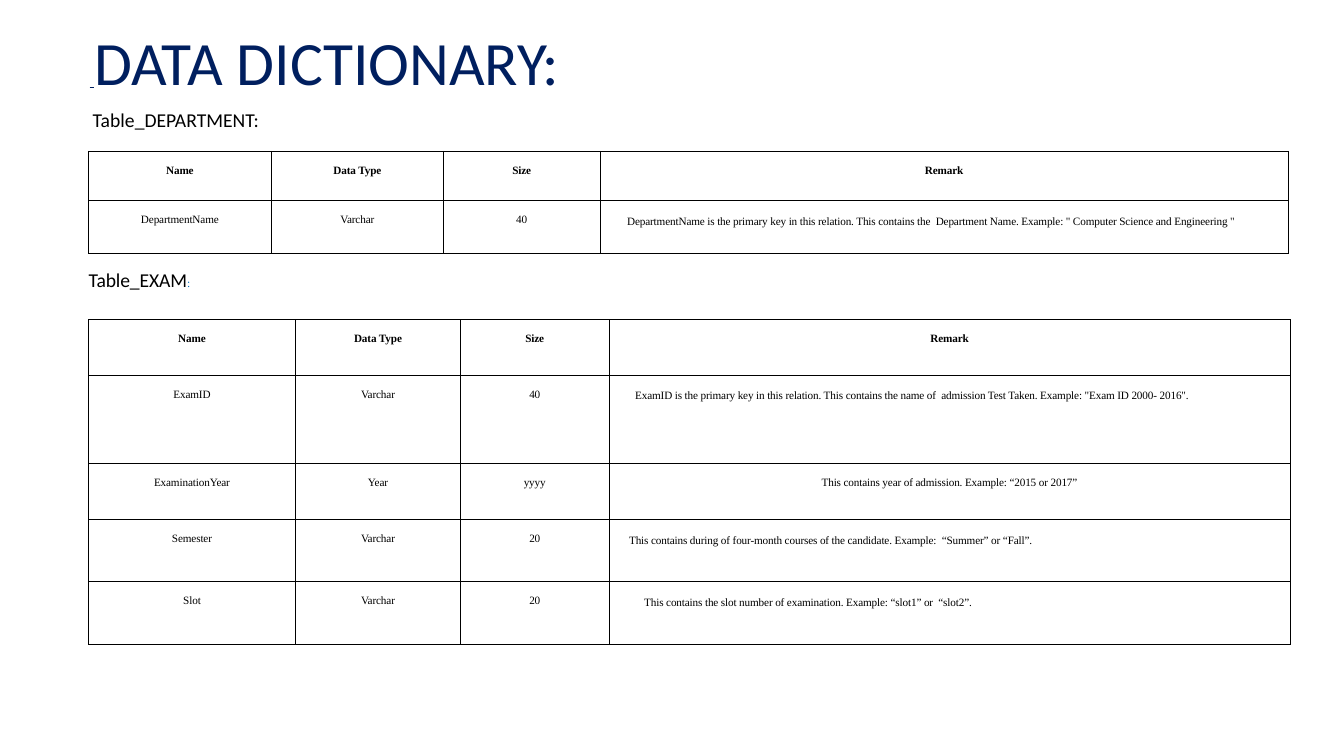
import pptx
import pptx.dml.color
import pptx.enum.text
import pptx.util
from lxml import etree
from pptx.oxml.ns import qn

Inches = pptx.util.Inches
Pt = pptx.util.Pt
BLACK = pptx.dml.color.RGBColor(0x00, 0x00, 0x00)
NAVY = pptx.dml.color.RGBColor(0x00, 0x1F, 0x5F)
BLUE = pptx.dml.color.RGBColor(0x00, 0x6F, 0xC0)
SANS = "Calibri"
SERIF = "Times New Roman"
HEADER = ["Name", "Data Type", "Size", "Remark"]

# A remark with an indent is left-aligned; with None it is centred
DEPARTMENT_ROWS = [
    (["DepartmentName", "Varchar", "40",
      "DepartmentName is the primary key in this relation. This contains the  Department Name. "
      "Example: \" Computer Science and Engineering \""], 0.27),
]
EXAM_ROWS = [
    (["ExamID", "Varchar", "40",
      "ExamID is the primary key in this relation. This contains the name of  admission Test Taken. "
      "Example: \"Exam ID 2000- 2016\"."], 0.26),
    (["ExaminationYear", "Year", "yyyy",
      "This contains year of admission. Example: “2015 or 2017”"], None),
    (["Semester", "Varchar", "20",
      "This contains during of four-month courses of the candidate. "
      "Example:  “Summer” or “Fall”."], 0.2),
    (["Slot", "Varchar", "20",
      "This contains the slot number of examination. Example: “slot1” or  “slot2”."], 0.35),
]


def add_span(para, text, size=8, font=SERIF, color=BLACK, bold=False, underline=False, spacing=0):
    """Add formatted text; spacing is in points between letters."""
    span = para.add_run()
    span.text = text
    span.font.size = Pt(size)
    span.font.name = font
    span.font.color.rgb = color
    span.font.bold = bold
    span.font.underline = underline
    if spacing:
        span._r.get_or_add_rPr().set("spc", str(round(spacing * 100)))


def add_text_frame(page, left, top, width, height):
    box = page.shapes.add_textbox(Inches(left), Inches(top), Inches(width), Inches(height))
    frame = box.text_frame
    frame.word_wrap = True
    frame.auto_size = pptx.enum.text.MSO_AUTO_SIZE.SHAPE_TO_FIT_TEXT
    frame.margin_left = frame.margin_top = Inches(0.01)
    frame.margin_right = frame.margin_bottom = 0
    return frame


def add_heading(page, left, top, width, height):
    """Slide title with the caption of the first table below it."""
    frame = add_text_frame(page, left, top, width, height)
    title = frame.paragraphs[0]
    add_span(title, " ", size=12.3, color=NAVY, bold=True, underline=True)
    add_span(title, "DATA DICTIONARY:", size=44, font=SANS, color=NAVY)
    caption = frame.add_paragraph()
    caption.space_before = Pt(6.8)
    caption._p.get_or_add_pPr().set("marL", str(Inches(0.03)))
    add_span(caption, "Table_DEPARTMENT:", size=14, font=SANS)


def add_exam_caption(page, left, top, width, height):
    para = add_text_frame(page, left, top, width, height).paragraphs[0]
    add_span(para, "Table_EXAM", size=14, font=SANS, spacing=-0.1)
    add_span(para, ":", size=8.2, color=BLUE, spacing=-0.1)


def add_borders(cell):
    cell.fill.background()
    properties = cell._tc.get_or_add_tcPr()
    for index, side in enumerate(("a:lnL", "a:lnR", "a:lnT", "a:lnB")):
        line = etree.Element(qn(side), w=str(Pt(0.5)))
        fill = etree.SubElement(line, qn("a:solidFill"))
        etree.SubElement(fill, qn("a:srgbClr"), val=str(BLACK))
        properties.insert(index, line)


def fill_cell(cell, text, bold=False, indent=None):
    add_borders(cell)
    cell.margin_left = cell.margin_right = cell.margin_bottom = 0
    para = cell.text_frame.paragraphs[0]
    if indent is None:
        cell.margin_top = Inches(0.13)
        para.alignment = pptx.enum.text.PP_ALIGN.CENTER
    else:
        cell.margin_top = Inches(0.08)
        cell.margin_left = Inches(indent)
        para.line_spacing = Pt(13.7)
    add_span(para, text, bold=bold, spacing=-0.1)


def add_dictionary(page, left, top, widths, heights, rows):
    """Table of fields: a bold header, then one row per field."""
    table = page.shapes.add_table(
        len(heights), len(widths), Inches(left), Inches(top),
        Inches(sum(widths)), Inches(sum(heights))).table
    table.first_row = table.horz_banding = False
    for column, width in zip(table.columns, widths):
        column.width = Inches(width)
    for row, height in zip(table.rows, heights):
        row.height = Inches(height)
    for column, text in enumerate(HEADER):
        fill_cell(table.cell(0, column), text, bold=True)
    for row, (texts, remark_indent) in enumerate(rows, start=1):
        for column, text in enumerate(texts):
            is_remark = column == len(HEADER) - 1
            fill_cell(table.cell(row, column), text, indent=remark_indent if is_remark else None)


def main():
    deck = pptx.Presentation()
    deck.slide_width = Inches(13.33)
    deck.slide_height = Inches(7.5)
    page = deck.slides.add_slide(deck.slide_layouts[6])
    add_heading(page, 0.88, 0.23, 10.78, 1.08)
    add_dictionary(page, 0.88, 1.5, [1.81, 1.71, 1.55, 6.83], [0.49, 0.52], DEPARTMENT_ROWS)
    add_exam_caption(page, 0.87, 2.65, 3.54, 0.25)
    add_dictionary(page, 0.88, 3.17, [2.05, 1.64, 1.47, 6.76],
                   [0.55, 0.88, 0.55, 0.62, 0.62], EXAM_ROWS)
    deck.save("out.pptx")


if __name__ == "__main__":
    main()
